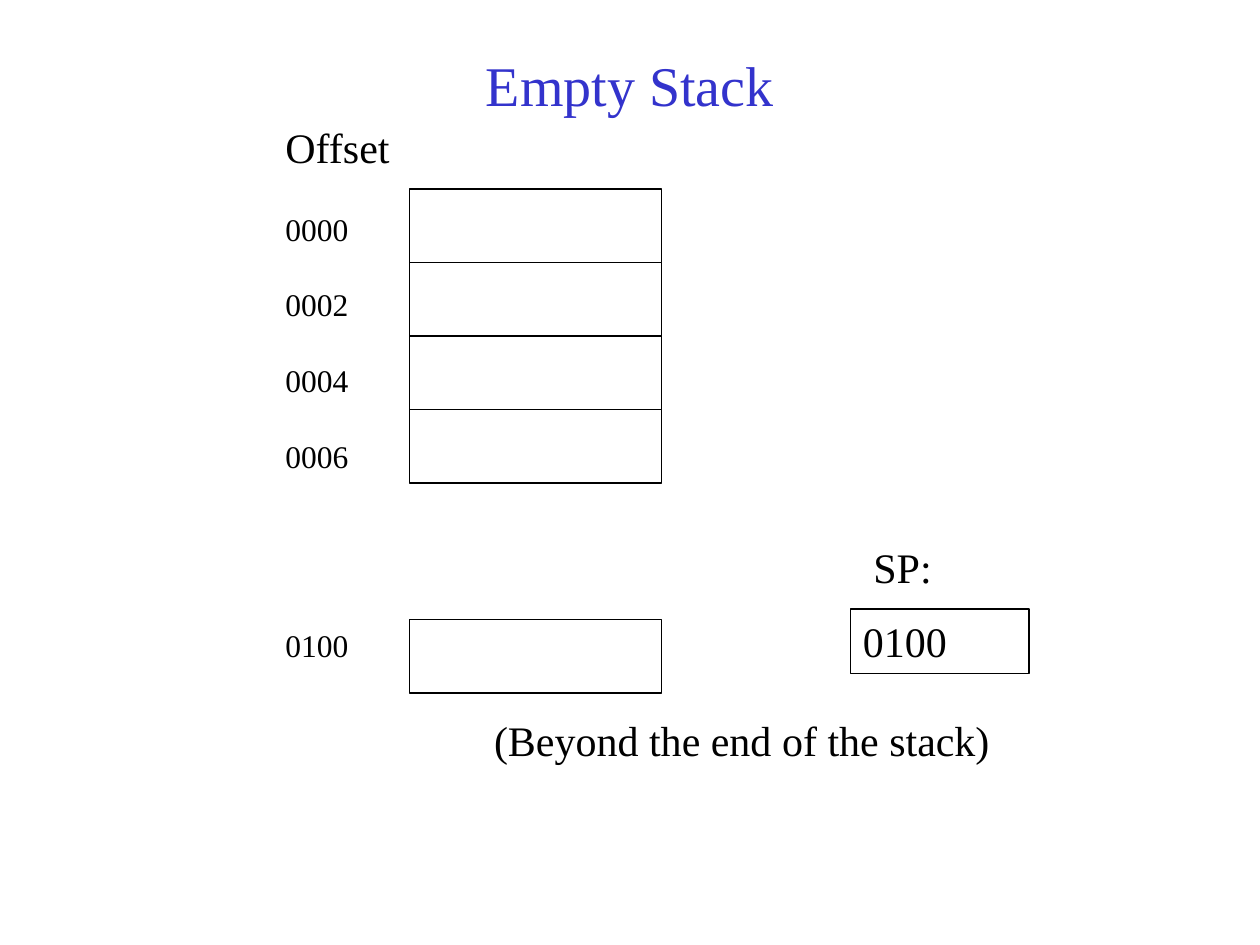
"""Build the Empty Stack slide: stack cells, their offsets and the stack pointer."""
from dataclasses import dataclass

from pptx import Presentation
from pptx import util as u
from pptx.dml.color import RGBColor
from pptx.enum import shapes, text

PX = u.Inches(1) // 96
FONT = "Times New Roman"
LEADING = 1.2
BLACK = RGBColor(0x00, 0x00, 0x00)
WHITE = RGBColor(0xFF, 0xFF, 0xFF)
BLUE = RGBColor(0x33, 0x33, 0xCC)

CELL_X, CELL_W, CELL_H = 312, 192, 56
STACK_Y, STACK_CELLS, BEYOND_Y = 144, 4, 472
OFFSET_SIZE = 18
OFFSET_LINE = OFFSET_SIZE * LEADING


@dataclass(frozen=True)
class Box:
    """A rectangle in px."""

    x: int
    y: int
    w: int
    h: int

    def emu(self) -> list[int]:
        return [v * PX for v in (self.x, self.y, self.w, self.h)]


@dataclass(frozen=True)
class Label:
    """A line of text and its box."""

    words: str
    box: Box


LABELS = [
    Label("SP:", Box(656, 408, 64, 48)),
    Label("(Beyond the end of the stack)", Box(367, 540, 397, 48)),
]
OFFSETS = [("0000", 1), ("0002", 1), ("0004", 1), ("0006", 1), ("0100", 4)]


def write(p, words: str, *, size: int = 24, color: RGBColor = BLACK,
          align=text.PP_ALIGN.LEFT, before: float = 0) -> None:
    """Put formatted text into a paragraph."""
    p.alignment = align
    p.line_spacing = u.Pt(size * LEADING)
    p.space_before = u.Pt(before)
    r = p.add_run()
    r.text = words
    r.font.name = FONT
    r.font.size = u.Pt(size)
    r.font.color.rgb = color


def add_cell(slide, box: Box, *, filled: bool = True):
    """Draw an outlined rectangle."""
    sp = slide.shapes.add_shape(shapes.MSO_SHAPE.RECTANGLE, *box.emu())
    sp.shadow.inherit = False
    if filled:
        sp.fill.solid()
        sp.fill.fore_color.rgb = WHITE
    else:
        sp.fill.background()
    sp.line.color.rgb = BLACK
    sp.line.width = u.Pt(0.75)
    return sp


def add_label(slide, label: Label, *, wrap: bool = False):
    """Add a text box holding one label and return its text frame."""
    tf = slide.shapes.add_textbox(*label.box.emu()).text_frame
    tf.word_wrap = wrap
    write(tf.paragraphs[0], label.words)
    return tf


def add_title(slide, label: Label) -> None:
    """Place and fill the title placeholder."""
    sp = slide.shapes.title
    sp.left, sp.top, sp.width, sp.height = label.box.emu()
    tf = sp.text_frame
    tf.vertical_anchor = text.MSO_ANCHOR.MIDDLE
    write(tf.paragraphs[0], label.words, size=32, color=BLUE,
          align=text.PP_ALIGN.CENTER)


def main() -> None:
    """Build and save the slide."""
    prs = Presentation()
    prs.slide_width, prs.slide_height = 960 * PX, 720 * PX
    slide = prs.slides.add_slide(prs.slide_layouts[5])
    add_title(slide, Label("Empty Stack", Box(72, 24, 816, 80)))

    for y in [STACK_Y + i * CELL_H for i in range(STACK_CELLS)] + [BEYOND_Y]:
        add_cell(slide, Box(CELL_X, y, CELL_W, CELL_H))

    tf = add_label(slide, Label("Offset", Box(208, 88, 99, 490)), wrap=True)
    for offset, gap_lines in OFFSETS:
        write(tf.add_paragraph(), offset, size=OFFSET_SIZE,
              before=gap_lines * OFFSET_LINE)

    tf = add_cell(slide, Box(648, 464, 136, 49), filled=False).text_frame
    tf.vertical_anchor = text.MSO_ANCHOR.TOP
    write(tf.paragraphs[0], "0100")

    for label in LABELS:
        add_label(slide, label)
    prs.save("out.pptx")


if __name__ == "__main__":
    main()
